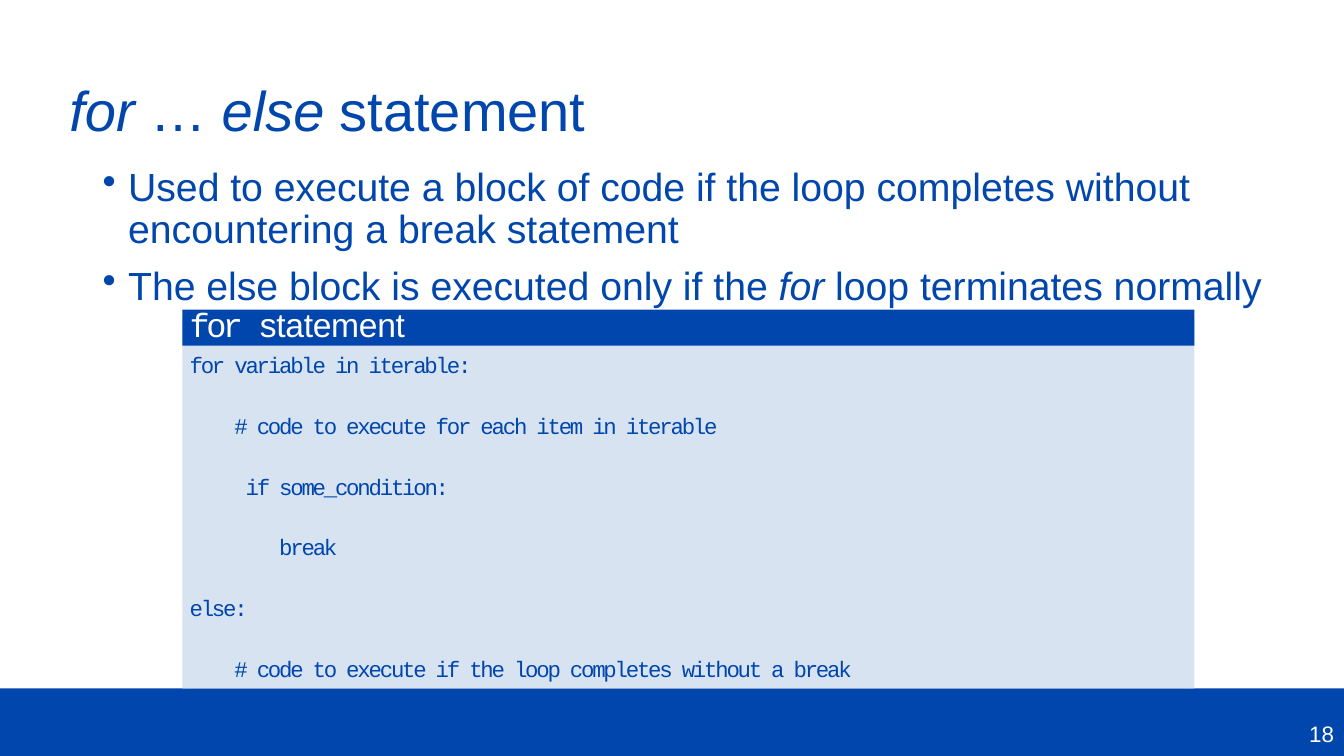
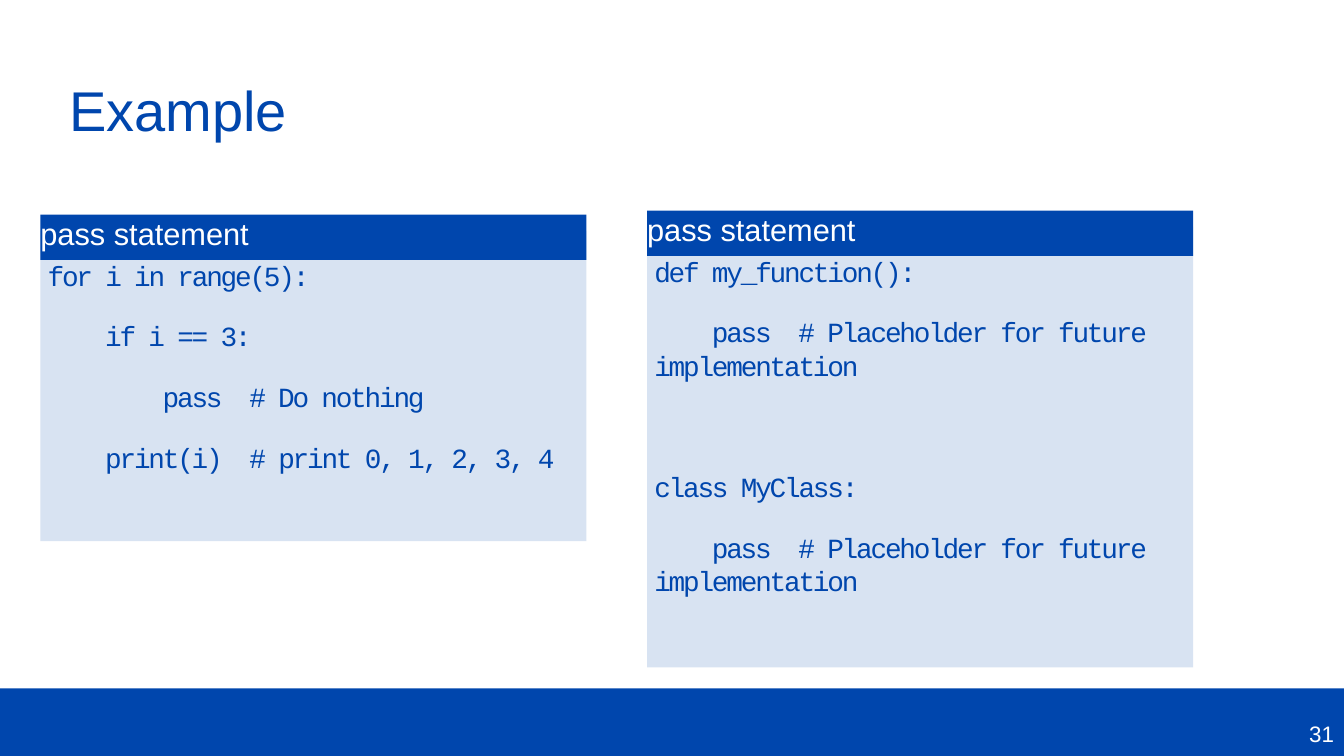
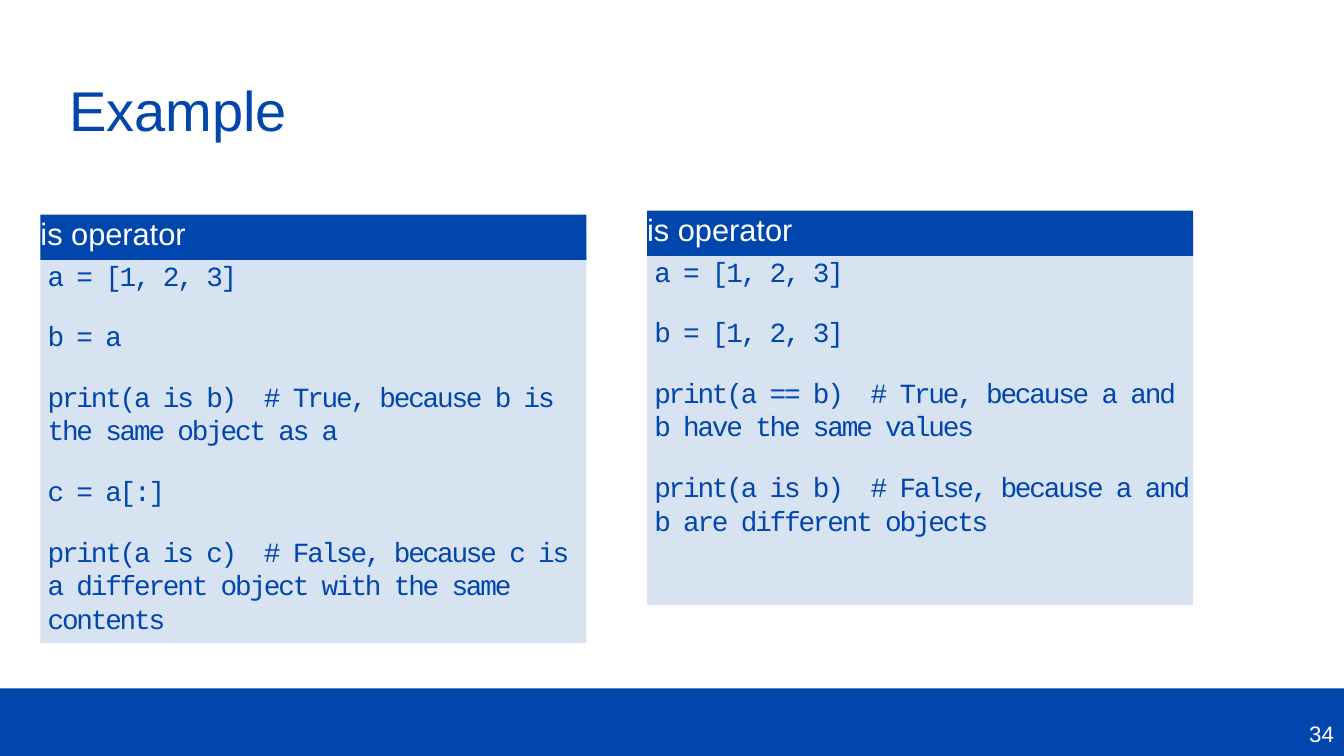
"""Build three slides on Python loop, pass and is statements."""
import pptx
import pptx.dml.color
import pptx.enum.shapes
import pptx.enum.text
import pptx.util
from lxml import etree

Cm, Pt = pptx.util.Cm, pptx.util.Pt
rgb = pptx.dml.color.RGBColor.from_string
ANCHOR = pptx.enum.text.MSO_ANCHOR

BLUE, PALE, WHITE = "0046AD", "D8E3F2", "FFFFFF"
SANS, MONO = "Arial", "Courier New"
CODE_SPC, CODE_LINE, CODE_GAP = -1.6, 23.8, 19.6
ITALIC = {"italic": True}


def box(s, left, top, width, height, fill=None, insets=(0.25, 0.13, 0.25, 0.13), anchor=ANCHOR.TOP):
    area = Cm(left), Cm(top), Cm(width), Cm(height)
    if fill:
        sp = s.shapes.add_shape(pptx.enum.shapes.MSO_SHAPE.RECTANGLE, *area)
        sp.shadow.inherit = False
        sp.fill.solid()
        sp.fill.fore_color.rgb = rgb(fill)
        sp.line.fill.background()
    else:
        sp = s.shapes.add_textbox(*area)
    tf = sp.text_frame
    tf.word_wrap = True
    tf.vertical_anchor = anchor
    tf.margin_left, tf.margin_top, tf.margin_right, tf.margin_bottom = [Cm(x) for x in insets]
    return tf


def write(tf, text, size, color, font=SANS, spc=0, marked=ITALIC, marked_spc=0):
    p = tf.add_paragraph() if tf.text else tf.paragraphs[0]
    p.alignment = pptx.enum.text.PP_ALIGN.LEFT
    p.font.name, p.font.size, p.font.color.rgb = font, Pt(size), rgb(color)
    for i, part in enumerate(text.split("*")):
        if part:
            r = p.add_run()
            r.text = part
            spacing = marked_spc if i % 2 else spc
            if spacing:
                r._r.get_or_add_rPr().set("spc", str(round(spacing * 100)))
            if i % 2:
                for name, value in marked.items():
                    setattr(r.font, name, value)
    return p


wide = {"code_size": 16, "drop": 0.2, "head_height": 0.91, "head_size": 24, "head_inset": 0.18,
        "head_line": Pt(24.8), "head_spc": -0.2}
half = {"code_size": 19.8, "drop": 0.41, "head_height": 1.14, "head_size": 22, "head_inset": 0,
        "head_line": 1.0, "head_spc": 0}
LEFT, RIGHT = (1.02, 5.41, 13.76), (16.31, 5.31, 13.76)

slides = [
    ("18", "*for* … *else* statement", [
        "Used to execute a block of code if the loop completes without encountering a break statement",
        "The else block is executed only if the *for* loop terminates normally",
    ], wide, [
        ((4.6, 7.8, 25.5), 9.35, "*for *statement", [
            "for variable in iterable:",
            "    # code to execute for each item in iterable",
            "     if some_condition:",
            "        break",
            "else:",
            "    # code to execute if the loop completes without a break",
        ]),
    ]),
    ("31", "Example", [], half, [
        (LEFT, 7.82, "pass statement", [
            "for i in range(5):",
            "    if i == 3:",
            "        pass  # Do nothing",
            "    print(i)  # print 0, 1, 2, 3, 4",
        ]),
        (RIGHT, 11.1, "pass statement", [
            "def my_function():",
            "    pass  # Placeholder for future implementation",
            "",
            "class MyClass:",
            "    pass  # Placeholder for future implementation",
        ]),
    ]),
    ("34", "Example", [], half, [
        (LEFT, 10.39, "is operator", [
            "a = [1, 2, 3]",
            "b = a",
            "print(a is b)  # True, because b is the same object as a",
            "c = a[:]",
            "print(a is c)  # False, because c is a different object with the same contents",
        ]),
        (RIGHT, 9.53, "is operator", [
            "a = [1, 2, 3]",
            "b = [1, 2, 3]",
            "print(a == b)  # True, because a and b have the same values",
            "print(a is b)  # False, because a and b are different objects",
        ]),
    ]),
]

prs = pptx.Presentation()
prs.slide_width, prs.slide_height = Cm(33.87), Cm(19.05)

for number, title, bullets, style, panels in slides:
    s = prs.slides.add_slide(prs.slide_layouts[6])
    tf = box(s, 0, 17.35, 33.87, 1.8, BLUE, (0.25, 0.13, 0.25, 0.33), ANCHOR.BOTTOM)
    write(tf, number, 16, WHITE).alignment = pptx.enum.text.PP_ALIGN.RIGHT

    tf = box(s, 1.5, 1.02, 30.05, 3.68, anchor=ANCHOR.MIDDLE)
    write(tf, title, 40, BLUE).line_spacing = 0.9

    if bullets:
        tf = box(s, 2.34, 4.09, 30.05, 9.27)
    for text in bullets:
        p = write(tf, text, 28, BLUE)
        p.line_spacing, p.space_before = 0.9, Pt(10)
        pPr = p._p.get_or_add_pPr()
        pPr.set("marL", str(Cm(0.64)))
        pPr.set("indent", str(-Cm(0.64)))
        bullet = etree.Element(pptx.oxml.ns.qn("a:buChar"), char="•")
        pPr.find(pptx.oxml.ns.qn("a:defRPr")).addprevious(bullet)

    for (left, top, width), height, heading, lines in panels:
        tf = box(s, left, top + style["drop"], width, height, PALE, (0.18, 0.69, 0, 0))
        size = style["code_size"]
        gap = CODE_GAP
        for line in lines:
            if not line:
                gap += CODE_LINE + CODE_GAP
                continue
            code = line.lstrip()
            p = write(tf, code, size, BLUE, MONO, CODE_SPC)
            p.line_spacing, p.space_before = Pt(CODE_LINE), Pt(gap)
            indent = Pt((len(line) - len(code)) * (0.6 * size + CODE_SPC))
            p._p.get_or_add_pPr().set("marL", "0")
            p._p.get_or_add_pPr().set("indent", str(indent))
            gap = CODE_GAP

        tf = box(s, left, top, width, style["head_height"], BLUE, (style["head_inset"], 0, 0, 0))
        p = write(tf, heading, style["head_size"], WHITE, spc=style["head_spc"],
                  marked={"name": MONO}, marked_spc=-2.5)
        p.line_spacing = style["head_line"]

prs.save("out.pptx")
